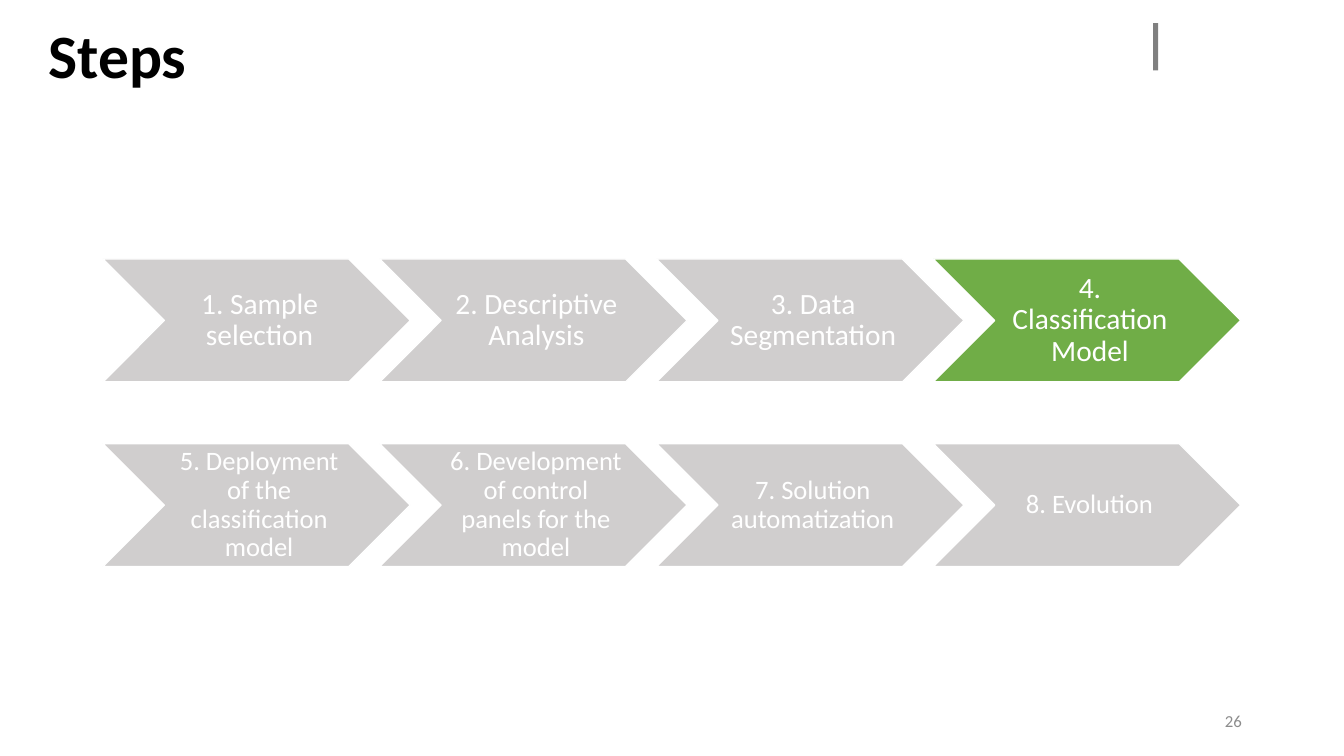
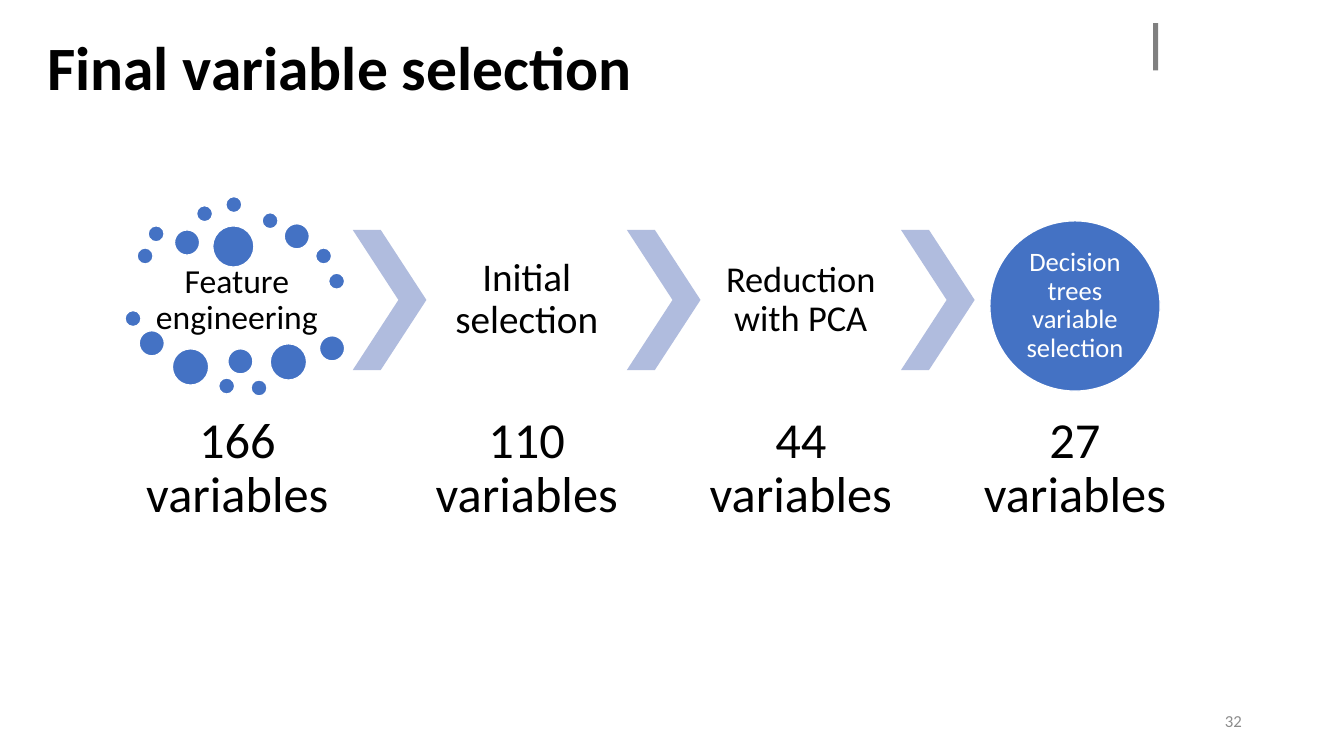
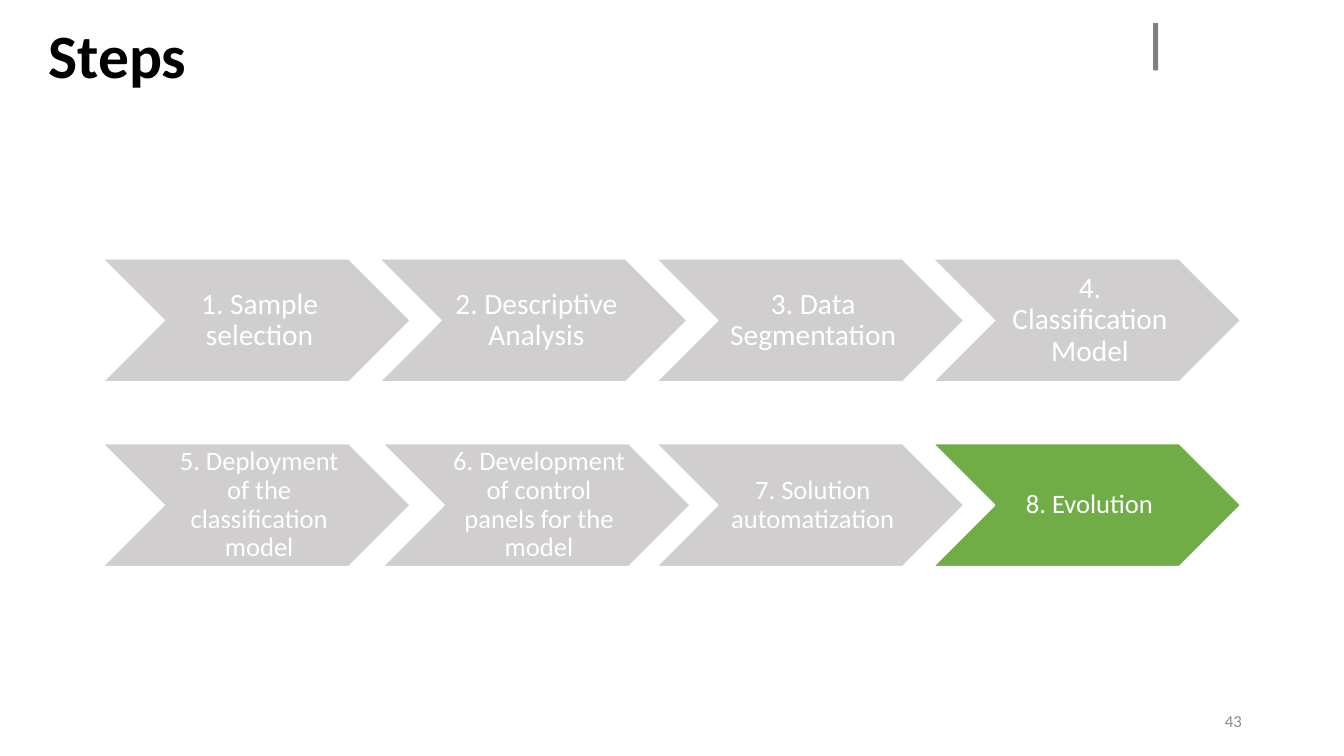
"""Build three slides: the project steps twice and the final variable selection."""
from pptx import Presentation
from pptx.dml.color import RGBColor
from pptx.enum import shapes, text
from pptx.util import Pt

BLACK, WHITE, GREY, GREEN, BLUE = "000000", "FFFFFF", "D0CECE", "70AD47", "4472C4"
PALE_BLUE, BAR_GREY, NUMBER_GREY = "B0BCDE", "808080", "8C8C8C"
CHEVRON, OVAL, BAR = (shapes.MSO_SHAPE.CHEVRON, shapes.MSO_SHAPE.OVAL,
                      shapes.MSO_SHAPE.RECTANGLE)
LEFT, CENTER, RIGHT = text.PP_ALIGN.LEFT, text.PP_ALIGN.CENTER, text.PP_ALIGN.RIGHT


def draw(slide, kind, box, fill, edge=None):
    """Add a filled preset shape, with a thin outline if edge is given."""
    figure = slide.shapes.add_shape(kind, *map(Pt, box))
    figure.shadow.inherit = False
    figure.fill.solid()
    figure.fill.fore_color.rgb = RGBColor.from_string(fill)
    if edge:
        figure.line.color.rgb = RGBColor.from_string(edge)
        figure.line.width = Pt(1)
    else:
        figure.line.fill.background()
    return figure


def write(holder, words, size, colour=BLACK, align=CENTER, insets=(7.2, 3.6, 7.2, 3.6),
          bold=False, spacing=0.9):
    """Put one formatted paragraph into a shape, text box or placeholder."""
    frame = holder.text_frame
    frame.text = words
    left, top, right, bottom = map(Pt, insets)
    paragraph = frame.paragraphs[0]
    formats = {
        frame: {"word_wrap": True, "auto_size": text.MSO_AUTO_SIZE.NONE,
                "vertical_anchor": text.MSO_ANCHOR.MIDDLE, "margin_left": left,
                "margin_top": top, "margin_right": right, "margin_bottom": bottom},
        paragraph: {"alignment": align, "line_spacing": spacing},
        paragraph.runs[0].font: {"name": "Calibri", "size": Pt(size), "bold": bold},
    }
    for target, values in formats.items():
        for attribute, value in values.items():
            setattr(target, attribute, value)
    paragraph.runs[0].font.color.rgb = RGBColor.from_string(colour)


deck = Presentation()
deck.slide_width, deck.slide_height = Pt(960), Pt(540)

pages = [
    ("Steps", (27.4, 22.3, 649.4, 39.6), "26"),
    ("Final variable selection", (26.6, 30.2, 649.4, 41), "32"),
    ("Steps", (27.4, 22.3, 649.4, 39.6), "43"),
]
for heading, box, number in pages:
    slide = deck.slides.add_slide(deck.slide_layouts[5])
    title = slide.shapes.title
    title.left, title.top, title.width, title.height = map(Pt, box)
    write(title, heading, 44, align=LEFT, bold=True)
    draw(slide, BAR, (823.7, 16.6, 3.6, 33.8), BAR_GREY)
    page_number = slide.shapes.add_textbox(Pt(678.2), Pt(500.4), Pt(216), Pt(28.8))
    write(page_number, number, 12, NUMBER_GREY, RIGHT, spacing=1.0)

first_steps, selection, last_steps = deck.slides

step_rows = [
    (185, 21, 6.5, ["1. Sample selection", "2. Descriptive Analysis",
                    "3. Data Segmentation", "4. Classification Model"]),
    (316.9, 19, 5.8, ["5. Deployment of the classification model",
                      "6. Development of control panels for the model",
                      "7. Solution automatization", "8. Evolution"]),
]
for slide, current, shifts in [(first_steps, "4.", {}), (last_steps, "8.", {"6.": 2.2})]:
    for top, size, inset, steps in step_rows:
        for column, step in enumerate(steps):
            number = step[:2]
            left = 73.5 + 197.7 * column + shifts.get(number, 0)
            fill = GREEN if number == current else GREY
            arrow = draw(slide, CHEVRON, (left, top, 219.6, 87.8), fill, WHITE)
            write(arrow, step, size, WHITE, insets=(inset, 2.2, 2.2, 2.2))

dots = {
    11.5: [(97.9, 177.1), (105.8, 161.3), (140.4, 146.9), (161.3, 140.4), (187.2, 151.9),
           (225.4, 177.1), (234.7, 195.1), (89.3, 221.8), (156.2, 270), (179.3, 271.4)],
    18: [(124.6, 164.2), (203, 159.8), (99.4, 236.2), (162.7, 249.1), (228.2, 239.8)],
    26: [(123.1, 249.1), (193, 245.5)],
    29.5: [(151.9, 161.3)],
}
for diameter, corners in dots.items():
    for left, top in corners:
        draw(selection, OVAL, (left, top, diameter, diameter), BLUE, WHITE)

arrow_lefts = [252 + 195.8 * gap for gap in range(3)]
for left in arrow_lefts:
    arrow = draw(selection, CHEVRON, (left, 164.2, 52.6, 100.1), PALE_BLUE)
    arrow.adjustments[0] = 0.62

stage_lefts = [97.9] + [left + 52.6 for left in arrow_lefts]
captions = [
    ("Feature engineering", 24, 2.2, (86.4, 191.5, 165.6, 46.8)),
    ("Initial selection", 28, 2.9, (stage_lefts[1], 164.2, 143.3, 100.1)),
    ("Reduction with PCA", 26, 2.9, (stage_lefts[2], 164.2, 143.3, 100.1)),
]
counts = ["166 variables", "110 variables", "44 variables", "27 variables"]
for left, count in zip(stage_lefts, counts):
    captions.append((count, 36, 3.6, (left, 290.9, 143.3, 88.6)))
for words, size, inset, box in captions:
    caption = selection.shapes.add_textbox(*map(Pt, box))
    write(caption, words, size, insets=[inset] * 4)

outcome = draw(selection, OVAL, (707, 157.7, 121.7, 121.7), BLUE, WHITE)
write(outcome, "Decision trees variable selection", 19, WHITE, insets=[0] * 4)

deck.save("out.pptx")
